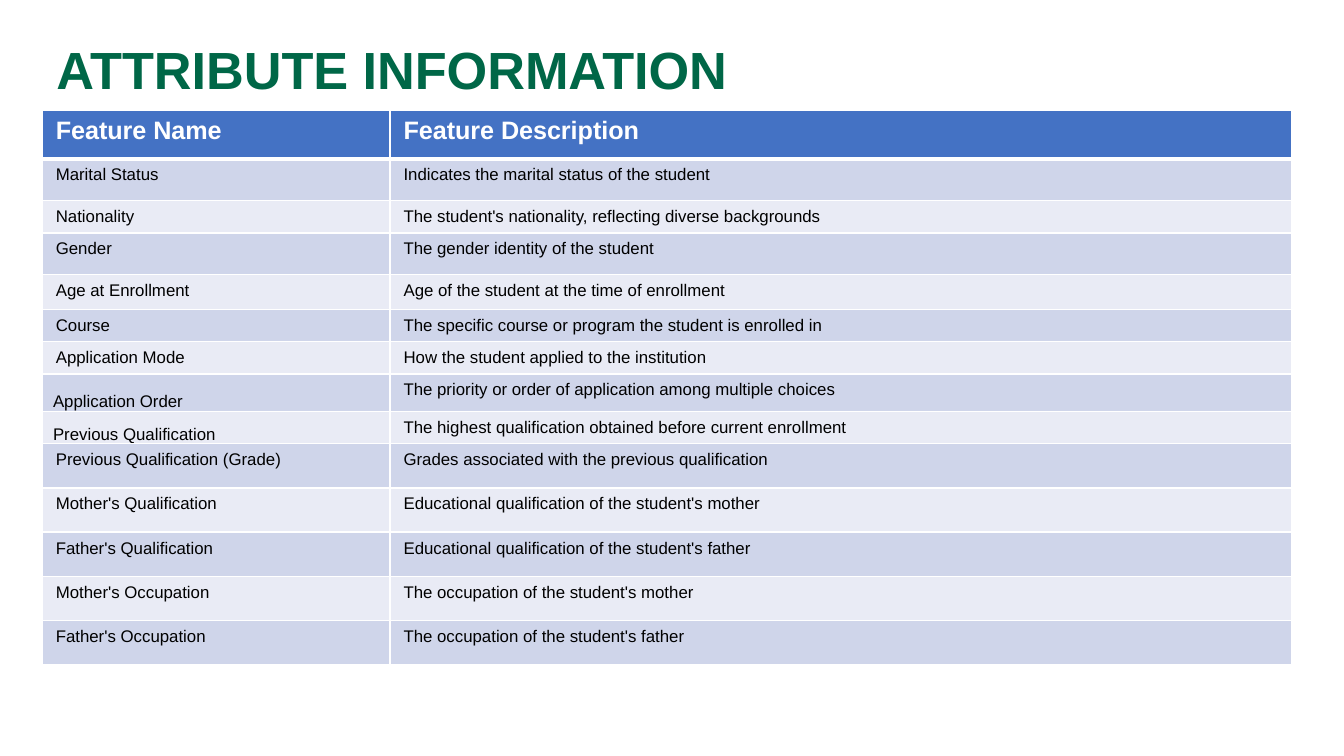
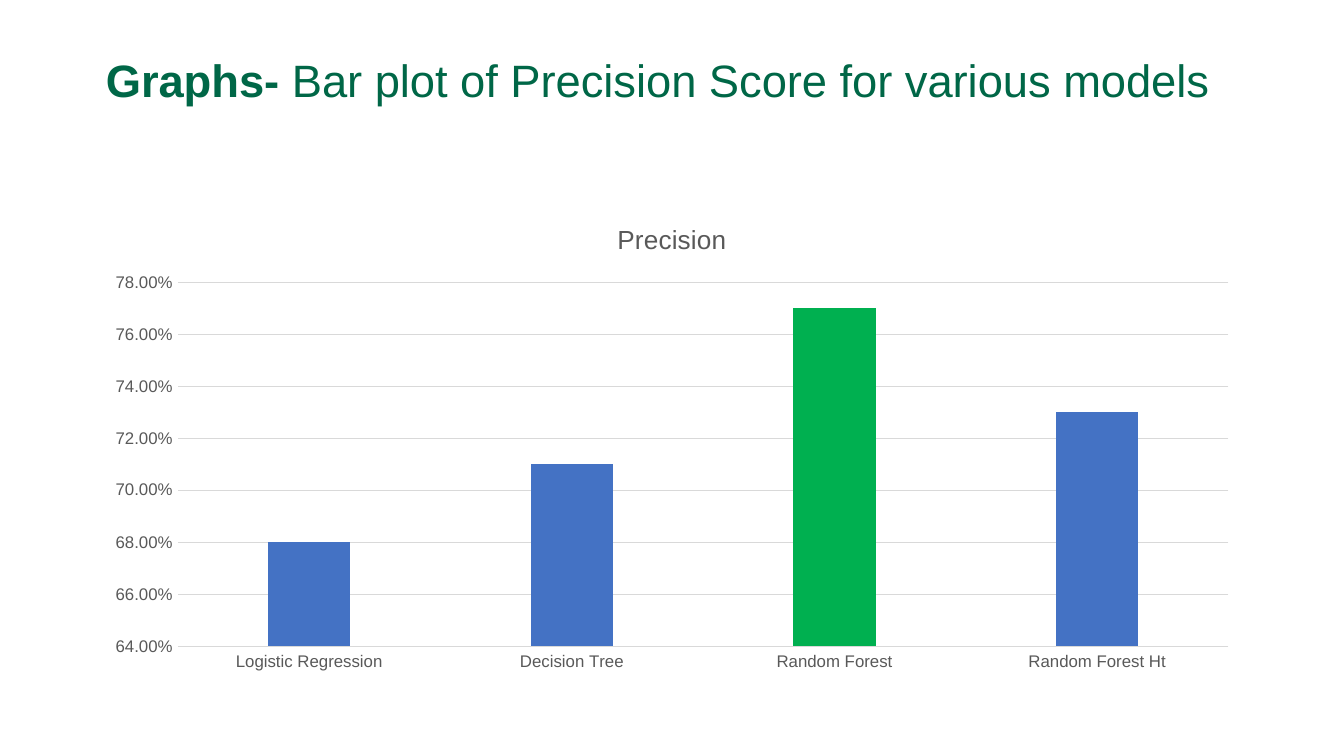
from dataclasses import dataclass

from lxml import etree
from pptx import Presentation
from pptx.chart.data import CategoryChartData
from pptx.dml.color import RGBColor
from pptx.enum.chart import XL_CHART_TYPE, XL_TICK_MARK
from pptx.enum.text import MSO_ANCHOR, MSO_AUTO_SIZE, PP_ALIGN
from pptx.oxml.ns import qn
from pptx.util import Pt

COLUMN_CHART = XL_CHART_TYPE.COLUMN_CLUSTERED
NO_TICK = XL_TICK_MARK.NONE
TOP, MIDDLE, BOTTOM = MSO_ANCHOR.TOP, MSO_ANCHOR.MIDDLE, MSO_ANCHOR.BOTTOM
NO_AUTOFIT = MSO_AUTO_SIZE.NONE
LEFT = PP_ALIGN.LEFT
TITLE_ONLY = 5


@dataclass(frozen=True)
class Theme:
    font: str = "Arial"
    title: str = "006747"
    accent: str = "4472C4"
    highlight: str = "00B050"
    band_dark: str = "CFD5EA"
    band_light: str = "E9EBF5"
    white: str = "FFFFFF"
    black: str = "000000"
    chart_text: str = "595959"
    grid: str = "D9D9D9"
    title_size: float = 28
    long_title_size: float = 24.3
    header_size: float = 13.5
    chart_title_size: float = 14
    body_size: float = 9


THEME = Theme()

# Feature, description and row height in points
FEATURES = [
    ("Marital Status", "Indicates the marital status of the student", 22.3),
    ("Nationality", "The student's nationality, reflecting diverse backgrounds", 17),
    ("Gender", "The gender identity of the student", 22.3),
    ("Age at Enrollment", "Age of the student at the time of enrollment", 18.7),
    ("Course", "The specific course or program the student is enrolled in", 17.3),
    ("Application Mode", "How the student applied to the institution", 17.3),
    ("Application Order", "The priority or order of application among multiple choices", 20),
    ("Previous Qualification", "The highest qualification obtained before current enrollment", 17),
    ("Previous Qualification (Grade)", "Grades associated with the previous qualification", 23.7),
    ("Mother's Qualification", "Educational qualification of the student's mother", 23.7),
    ("Father's Qualification", "Educational qualification of the student's father", 23.7),
    ("Mother's Occupation", "The occupation of the student's mother", 23.7),
    ("Father's Occupation", "The occupation of the student's father", 23.7),
]
HEADER = ("Feature Name", "Feature Description", 26.2)
LOW_SET = {"Application Order", "Previous Qualification"}

PRECISION = {
    "Logistic Regression": 0.68,
    "Decision Tree": 0.71,
    "Random Forest": 0.77,
    "Random Forest Ht": 0.73,
}
BEST_MODEL = "Random Forest"


def rgb(color):
    return RGBColor.from_string(color)


def style_font(font, size, color, bold=False):
    font.name = THEME.font
    font.size = Pt(size)
    font.bold = bold
    font.color.rgb = rgb(color)


def add_text(para, text, *, size, color, bold=False):
    span = para.add_run()
    span.text = text
    style_font(span.font, size, color, bold)


def add_title(page, box, spans, size, bottom_inset=3.6):
    """Fill the title placeholder with (text, bold) spans."""
    title = page.shapes.title
    title.left, title.top, title.width, title.height = map(Pt, box)
    frame = title.text_frame
    frame.auto_size = NO_AUTOFIT
    frame.word_wrap = True
    frame.vertical_anchor = MIDDLE
    frame.margin_bottom = Pt(bottom_inset)
    para = frame.paragraphs[0]
    para.alignment = LEFT
    para.line_spacing = 0.9
    for text, bold in spans:
        add_text(para, text, size=size, color=THEME.title, bold=bold)


def set_borders(cell, top=1, bottom=1):
    properties = cell._tc.get_or_add_tcPr()
    widths = {"lnL": 1, "lnR": 1, "lnT": top, "lnB": bottom}
    for position, (tag, width) in enumerate(widths.items()):
        line = etree.Element(qn(f"a:{tag}"), w=str(Pt(width)))
        fill = etree.SubElement(line, qn("a:solidFill"))
        etree.SubElement(fill, qn("a:srgbClr"), val=THEME.white)
        properties.insert(position, line)


def fill_cell(cell, text, fill, size, color, bold=False):
    cell.fill.solid()
    cell.fill.fore_color.rgb = rgb(fill)
    cell.vertical_anchor = TOP
    add_text(cell.text_frame.paragraphs[0], text, size=size, color=color, bold=bold)


def add_feature_table(page, box, name_width):
    left, top, width = box
    rows = [HEADER, *FEATURES]
    height = sum(row[2] for row in rows)
    frame = page.shapes.add_table(len(rows), 2, Pt(left), Pt(top), Pt(width), Pt(height))
    table = frame.table
    table.horz_banding = False
    table.columns[0].width = Pt(name_width)
    table.columns[1].width = Pt(width - name_width)

    for index, (*texts, row_height) in enumerate(rows):
        table.rows[index].height = Pt(row_height)
        for column, text in enumerate(texts):
            cell = table.cell(index, column)
            if index == 0:
                fill_cell(cell, text, THEME.accent, THEME.header_size, THEME.white, True)
            else:
                band = THEME.band_dark if index % 2 else THEME.band_light
                fill_cell(cell, text, band, THEME.body_size, THEME.black)
            set_borders(cell, top=3 if index == 1 else 1, bottom=3 if index == 0 else 1)
            if text in LOW_SET:
                cell.vertical_anchor = BOTTOM
                cell.margin_left = Pt(5.7)
                cell.margin_top = cell.margin_right = Pt(0.7)
                cell.margin_bottom = 0


def style_axis(axis):
    axis.major_tick_mark = axis.minor_tick_mark = NO_TICK
    style_font(axis.tick_labels.font, THEME.body_size, THEME.chart_text)


def style_line(line):
    line.color.rgb = rgb(THEME.grid)
    line.width = Pt(0.75)


def add_precision_chart(page, box):
    data = CategoryChartData(number_format="0.00%")
    data.categories = list(PRECISION)
    data.add_series("Precision", list(PRECISION.values()))
    chart = page.shapes.add_chart(COLUMN_CHART, *map(Pt, box), data).chart
    style_font(chart.font, 10, THEME.black)
    chart.has_legend = False

    # Chart title
    chart.has_title = True
    chart.chart_title.include_in_layout = False
    add_text(chart.chart_title.text_frame.paragraphs[0], "Precision",
             size=THEME.chart_title_size, color=THEME.chart_text)

    # Axes
    models, scores = chart.category_axis, chart.value_axis
    style_axis(models)
    style_line(models.format.line)
    style_axis(scores)
    scores.format.line.fill.background()
    scores.minimum_scale, scores.maximum_scale = 0.64, 0.78
    scores.major_unit = 0.02
    scores.has_major_gridlines = True
    style_line(scores.major_gridlines.format.line)
    scores.tick_labels.number_format = "0.00%"
    scores.tick_labels.number_format_is_linked = False

    # Columns, with the best model highlighted
    plot = chart.plots[0]
    plot.gap_width, plot.overlap = 219, -27
    plot.vary_by_categories = False
    series = plot.series[0]
    best = series.points[list(PRECISION).index(BEST_MODEL)]
    for part, color in ((series, THEME.accent), (best, THEME.highlight)):
        part.format.fill.solid()
        part.format.fill.fore_color.rgb = rgb(color)


def add_page(deck):
    page = deck.slides.add_slide(deck.slide_layouts[TITLE_ONLY])
    page.background.fill.solid()
    page.background.fill.fore_color.rgb = rgb(THEME.white)
    return page


def build_attribute_page(deck):
    page = add_page(deck)
    add_title(page, (23, 0, 620.6, 78), [("ATTRIBUTE INFORMATION", True)], THEME.title_size)
    add_feature_table(page, (22.7, 59, 669.6), name_width=186.3)


def build_precision_page(deck):
    page = add_page(deck)
    spans = [("Graphs- ", True), ("Bar plot of Precision Score for various models", False)]
    # The deep bottom inset lifts the single line above the middle
    add_title(page, (49.5, 21.6, 621, 78.5), spans, THEME.long_title_size, bottom_inset=36.4)
    add_precision_chart(page, (49.5, 107.8, 621, 257))


def main():
    deck = Presentation()
    deck.slide_width, deck.slide_height = Pt(720), Pt(405)
    build_attribute_page(deck)
    build_precision_page(deck)
    deck.save("out.pptx")


if __name__ == "__main__":
    main()
